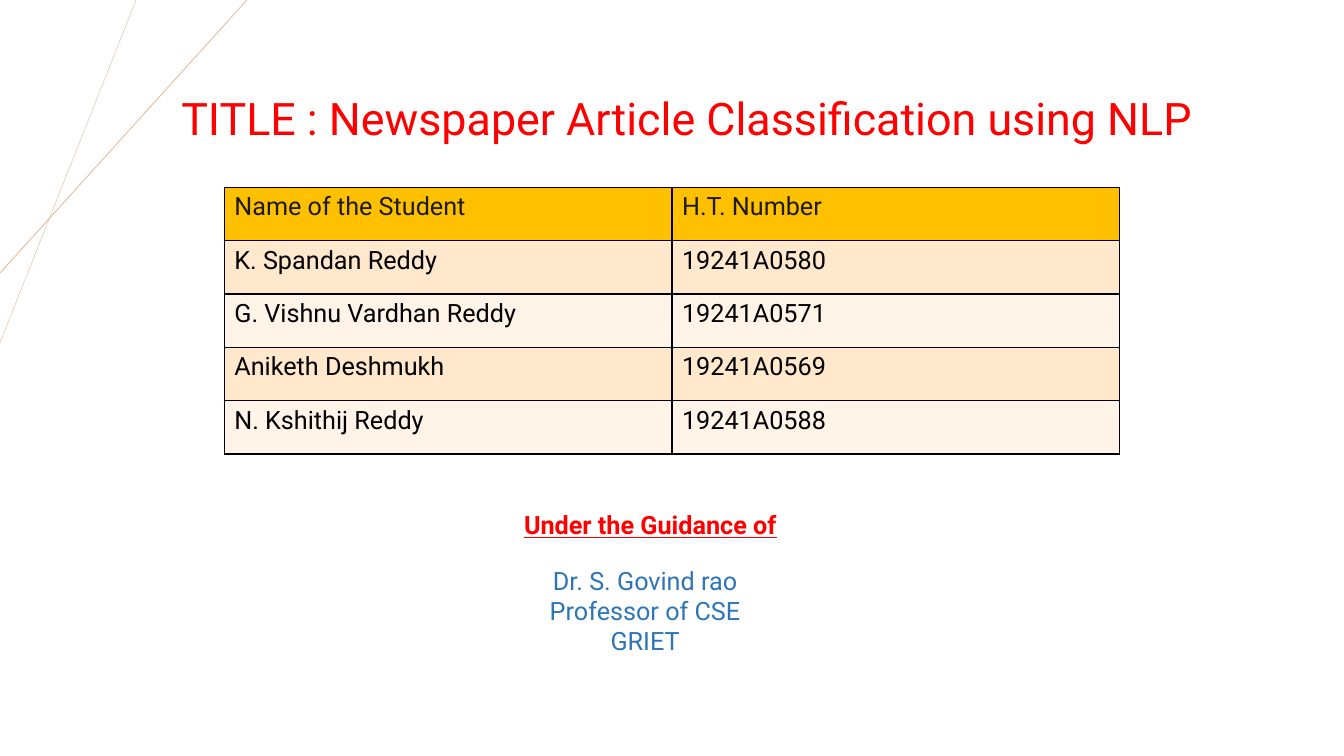
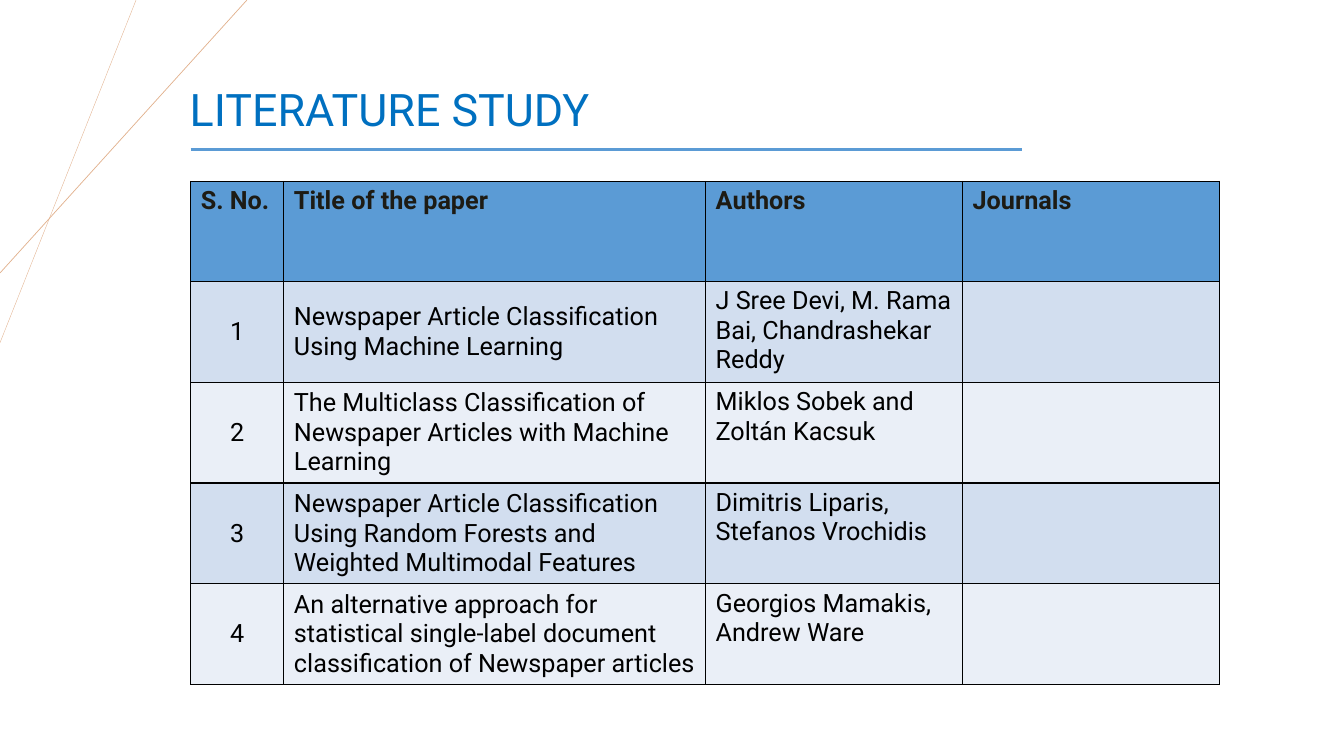
from dataclasses import dataclass

from lxml import etree
from pptx import Presentation
from pptx.dml.color import RGBColor
from pptx.enum.shapes import MSO_CONNECTOR
from pptx.enum.text import MSO_ANCHOR, MSO_AUTO_SIZE, PP_ALIGN
from pptx.oxml.ns import qn
from pptx.util import Inches, Pt

STRAIGHT = MSO_CONNECTOR.STRAIGHT
TOP, MIDDLE = MSO_ANCHOR.TOP, MSO_ANCHOR.MIDDLE
LEFT, CENTER = PP_ALIGN.LEFT, PP_ALIGN.CENTER
GROW = MSO_AUTO_SIZE.SHAPE_TO_FIT_TEXT
BLANK = 6
COLS, ROWS = 160, 90  # grid cells across and down the slide


@dataclass(frozen=True)
class Theme:
    font: str = "Roboto"
    title_size: int = 32
    body_size: int = 18
    red: str = "FF0000"
    title_blue: str = "0070C0"
    text_blue: str = "2E75B6"
    rule_blue: str = "5B9BD5"
    ray: str = "E2B18D"
    ink: str = "000000"
    header_ink: str = "1D1B14"
    # Table fills: header, odd rows, even rows
    amber: tuple = ("FFC000", "FFE8CC", "FFF4E7")
    blue: tuple = ("5B9BD5", "D2DEEF", "EAEFF7")


class Deck:
    """Holds the style and the slide being filled; lengths are grid cells."""

    def __init__(self, theme):
        self.theme = theme
        self.prs = Presentation()
        self.prs.slide_width = Inches(13.33)
        self.prs.slide_height = Inches(7.5)
        self.slide = None

    def x(self, cols):
        return round(self.prs.slide_width * cols / COLS)

    def y(self, rows):
        return round(self.prs.slide_height * rows / ROWS)

    def new_slide(self):
        self.slide = self.prs.slides.add_slide(self.prs.slide_layouts[BLANK])
        # Crossing rays in the top left corner
        self.line((16.2, 0), (0, 40.8), self.theme.ray, 0.25)
        self.line((29.4, 0), (0, 32.5), self.theme.ray, 0.5)

    def line(self, start, end, color, width):
        sp = self.slide.shapes.add_connector(
            STRAIGHT, self.x(start[0]), self.y(start[1]),
            self.x(end[0]), self.y(end[1]))
        sp.line.color.rgb = RGBColor.from_string(color)
        sp.line.width = Pt(width)
        etree.SubElement(sp.element.spPr, qn("a:effectLst"))

    def style(self, tf, color, size, bold=False, underline=False, align=LEFT):
        for p in tf.paragraphs:
            p.alignment = align
            for r in p.runs:
                r.font.name = self.theme.font
                r.font.size = Pt(size)
                r.font.bold = bold
                r.font.underline = underline
                r.font.color.rgb = RGBColor.from_string(color)

    def text(self, text, left, top, width, height, color, size=None, **look):
        sp = self.slide.shapes.add_textbox(
            self.x(left), self.y(top), self.x(width), self.y(height))
        tf = sp.text_frame
        tf.word_wrap = True
        tf.auto_size = GROW
        tf.text = text
        self.style(tf, color, size or self.theme.body_size, **look)

    def title(self, text, left, top, width, color):
        self.text(text, left, top, width, 7.7, color, self.theme.title_size)

    def border(self, cell):
        tc_pr = cell._tc.get_or_add_tcPr()
        for side in ("a:lnL", "a:lnR", "a:lnT", "a:lnB"):
            ln = etree.SubElement(tc_pr, qn(side), w=str(Pt(1)))
            fill = etree.SubElement(ln, qn("a:solidFill"))
            etree.SubElement(fill, qn("a:srgbClr"), val=self.theme.ink)

    def table(self, rows, left, top, widths, row_height, fills,
              bold_header=False, centered=(), middle=()):
        table = self.slide.shapes.add_table(
            len(rows), len(widths), self.x(left), self.y(top),
            self.x(sum(widths)), self.y(row_height * len(rows))).table
        for column, width in zip(table.columns, widths):
            column.width = self.x(width)
        for i, values in enumerate(rows):
            table.rows[i].height = self.y(row_height)
            header = i == 0
            fill = fills[0] if header else fills[2 - i % 2]
            for j, value in enumerate(values):
                cell = table.cell(i, j)
                self.border(cell)
                cell.fill.solid()
                cell.fill.fore_color.rgb = RGBColor.from_string(fill)
                cell.vertical_anchor = MIDDLE if j in middle and not header else TOP
                cell.text_frame.text = value
                self.style(cell.text_frame,
                           self.theme.header_ink if header else self.theme.ink,
                           self.theme.body_size, bold=header and bold_header,
                           align=CENTER if j in centered and not header else LEFT)


def title_slide(deck):
    t = deck.theme
    deck.new_slide()
    # Students
    students = [
        ("Name of the Student", "H.T. Number"),
        ("K. Spandan Reddy", "19241A0580"),
        ("G. Vishnu Vardhan Reddy", "19241A0571"),
        ("Aniketh Deshmukh", "19241A0569"),
        ("N. Kshithij Reddy", "19241A0588"),
    ]
    deck.table(students, 26.7, 22.3, (53.3, 53.3), 6.35, t.amber)
    deck.title("TITLE : Newspaper Article Classification using NLP",
               20.4, 10.2, 128.2, t.red)
    # Guide
    deck.text("Under the Guidance of", 61.2, 60.1, 37.6, 4.8, t.red,
              bold=True, underline=True)
    deck.text("Dr. S. Govind rao\vProfessor of CSE\vGRIET",
              47.6, 66.7, 58.4, 12.1, t.text_blue, align=CENTER)


def literature_slide(deck):
    t = deck.theme
    deck.new_slide()
    # Heading with rule
    deck.title("LITERATURE STUDY", 21.4, 9.1, 76.2, t.title_blue)
    deck.line((22.7, 17.8), (121.7, 17.8), t.rule_blue, 1.5)
    # Papers
    papers = [
        ("Newspaper Article Classification Using Machine Learning",
         "J Sree Devi, M. Rama Bai, Chandrashekar Reddy"),
        ("The Multiclass Classification of Newspaper Articles with Machine Learning",
         "Miklos Sobek and Zoltán Kacsuk"),
        ("Newspaper Article Classification Using Random Forests and "
         "Weighted Multimodal Features",
         "Dimitris Liparis, Stefanos Vrochidis"),
        ("An alternative approach for statistical single-label document "
         "classification of Newspaper articles",
         "Georgios Mamakis, Andrew Ware"),
    ]
    rows = [("S. No.", "Title of the paper", "Authors", "Journals")]
    rows += [(str(n), paper, authors, "")
             for n, (paper, authors) in enumerate(papers, 1)]
    deck.table(rows, 22.7, 21.6, (11.1, 50.2, 30.6, 30.6), 11.9, t.blue,
               bold_header=True, centered=(0,), middle=(0, 1))


def main():
    deck = Deck(Theme())
    title_slide(deck)
    literature_slide(deck)
    deck.prs.save("out.pptx")


if __name__ == "__main__":
    main()
